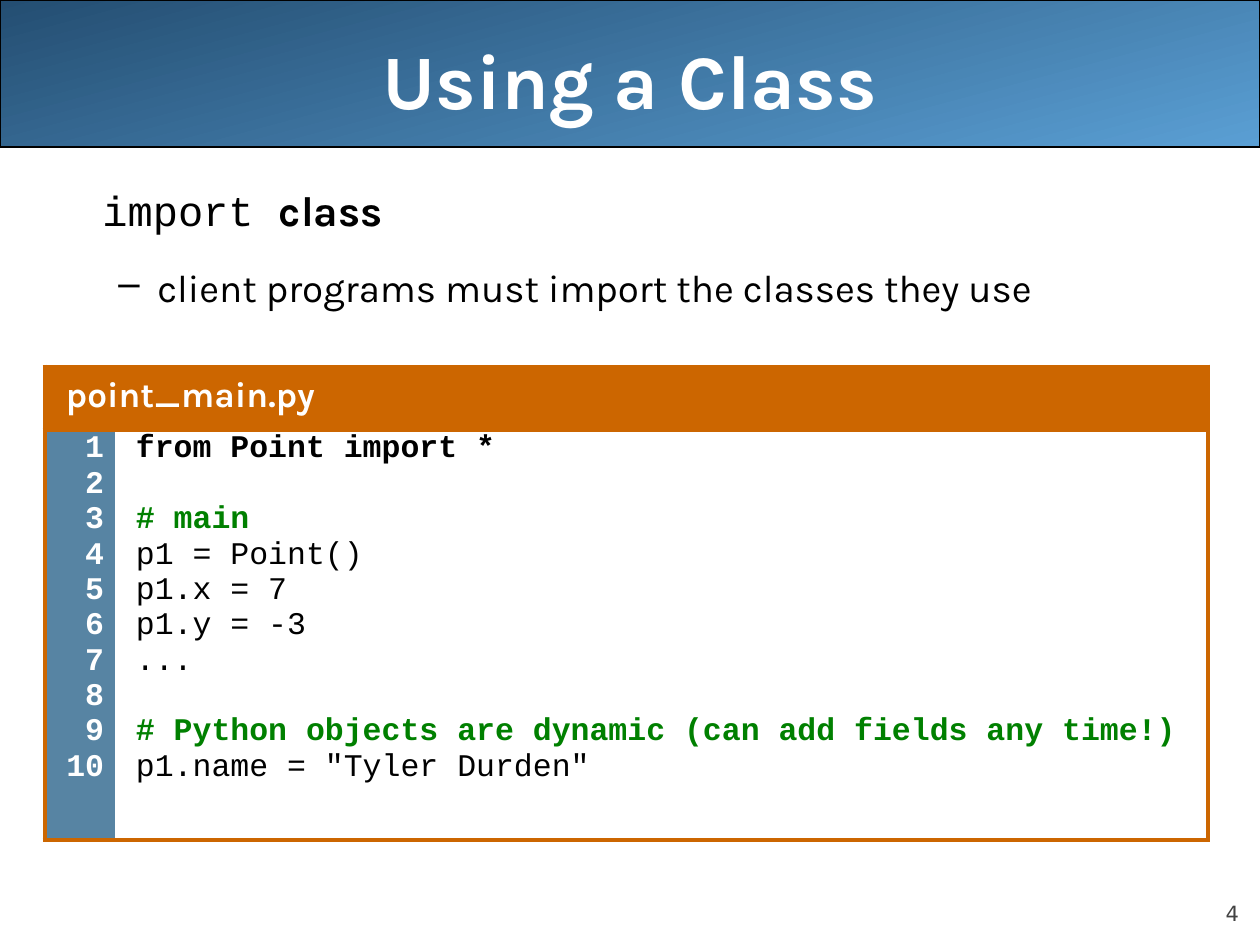
from lxml.etree import SubElement
from pptx import Presentation
from pptx.dml.color import RGBColor
from pptx.enum.shapes import MSO_SHAPE
from pptx.enum.text import MSO_ANCHOR, PP_ALIGN
from pptx.oxml.ns import qn
from pptx.util import Emu, Pt

WHITE = RGBColor(0xFF, 0xFF, 0xFF)
BLACK = RGBColor(0x00, 0x00, 0x00)
GRAY = RGBColor(0x42, 0x42, 0x42)
NAVY = RGBColor(0x24, 0x4E, 0x72)
SKY = RGBColor(0x5A, 0x9F, 0xD4)
STEEL = RGBColor(0x57, 0x84, 0xA3)
ORANGE = RGBColor(0xCC, 0x66, 0x00)
GREEN = RGBColor(0x00, 0x80, 0x00)
HEADING_FONT, CODE_FONT = "Karla", "Courier New"


def px(count):
    return Emu(round(count * 914400 / 126))


def style(para, font, size, color, bold=False, align=PP_ALIGN.LEFT,
          before=0, spacing=None, left=0, hanging=0):
    para.alignment = align
    para.space_before = Pt(before)
    if spacing:
        para.line_spacing = spacing
    properties = para._p.get_or_add_pPr()
    properties.set("marL", str(px(left)))
    properties.set("indent", str(-px(hanging)))
    para.font.name, para.font.size = font, Pt(size)
    para.font.bold, para.font.color.rgb = bold, color


deck = Presentation()
deck.slide_width, deck.slide_height = px(1260), px(945)
page = deck.slides.add_slide(deck.slide_layouts[6])

# Title band
band = page.shapes.add_shape(MSO_SHAPE.ROUNDED_RECTANGLE, 0, 0, px(1260), px(147))
band.adjustments[0] = 0
band.shadow.inherit = False
band.fill.gradient()
band.fill.gradient_angle = 285
for stop, color, position in zip(band.fill.gradient_stops, (NAVY, SKY), (0, 1)):
    stop.color.rgb, stop.position = color, position
band.line.color.rgb, band.line.width = BLACK, Pt(0.75)

# Slide number
number_box = page.shapes.add_textbox(px(1134), px(876), px(105), px(50))
frame = number_box.text_frame
frame.word_wrap, frame.vertical_anchor = True, MSO_ANCHOR.BOTTOM
frame.margin_left = frame.margin_right = frame.margin_top = frame.margin_bottom = 0
frame.text = "4"
style(frame.paragraphs[0], "DejaVu Sans", 12, GRAY, align=PP_ALIGN.RIGHT, before=5)

# Title
title_box = page.shapes.add_textbox(px(63), 0, px(1134), px(158))
frame = title_box.text_frame
frame.word_wrap, frame.vertical_anchor = True, MSO_ANCHOR.MIDDLE
frame.text = "Using a Class"
style(frame.paragraphs[0], HEADING_FONT, 44, WHITE, bold=True, align=PP_ALIGN.CENTER)

# Body text
body_box = page.shapes.add_textbox(px(42), px(178), px(1197), px(683))
frame = body_box.text_frame
frame.word_wrap = True
topic = frame.paragraphs[0]
style(topic, HEADING_FONT, 24, BLACK, before=6, left=48)
for text, font, bold in (("import ", CODE_FONT, False), ("class", HEADING_FONT, True)):
    span = topic.add_run()
    span.text, span.font.name, span.font.bold = text, font, bold

detail = frame.add_paragraph()
detail.text = "client programs must import the classes they use"
detail.level = 1
style(detail, HEADING_FONT, 22, BLACK, before=17, left=103, hanging=39)
bullet = SubElement(detail._p.pPr, qn("a:buChar"), char="–")
detail._p.pPr.find(qn("a:defRPr")).addprevious(bullet)

# Code listing table
table = page.shapes.add_table(2, 2, px(45), px(367), px(1163), px(473)).table
table.first_row = table.horz_banding = False
for column, width in zip(table.columns, (70, 1093)):
    column.width = px(width)
for row, height in zip(table.rows, (63, 410)):
    row.height = px(height)
header, numbers, code = table.cell(0, 0), table.cell(1, 0), table.cell(1, 1)
header.merge(table.cell(0, 1))

# Cell borders, margins and fills
for cell, edges, right_margin, color in (
        (header, "LRTB", 6, ORANGE), (table.cell(0, 1), "LRTB", 6, ORANGE),
        (numbers, "LTB", 11, STEEL), (code, "RTB", 23, WHITE)):
    cell.margin_left = cell.margin_top = cell.margin_bottom = px(6)
    cell.margin_right = px(right_margin)
    for edge in "LRTB":
        border = SubElement(cell._tc.get_or_add_tcPr(), qn(f"a:ln{edge}"), w=str(Pt(3)))
        if edge in edges:
            solid = SubElement(border, qn("a:solidFill"))
            SubElement(solid, qn("a:srgbClr"), val=str(ORANGE))
        else:
            SubElement(border, qn("a:noFill"))
    cell.fill.solid()
    cell.fill.fore_color.rgb = color

header.text = "point_main.py"
style(header.text_frame.paragraphs[0], HEADING_FONT, 20, WHITE, bold=True,
      before=5, spacing=1.07, left=15)

# Line numbers, with a small indent so that two digits fit
numbers.text = "\n".join(str(line) for line in range(1, 11))
for para in numbers.text_frame.paragraphs:
    style(para, CODE_FONT, 18, WHITE, bold=True, align=PP_ALIGN.RIGHT,
          before=4.5, spacing=0.77, left=8)

# Code lines by line number; skipped numbers become space above the next line
LINE_PITCH = 20.2
code_lines = {
    1: ("from Point import *", BLACK, True),
    3: ("# main", GREEN, True),
    4: ("p1 = Point()", BLACK, False),
    5: ("p1.x = 7", BLACK, False),
    6: ("p1.y = -3", BLACK, False),
    7: ("...", BLACK, False),
    9: ("# Python objects are dynamic (can add fields any time!)", GREEN, True),
    10: ('p1.name = "Tyler Durden"', BLACK, False),
}
code.text = "\n".join(text for text, color, bold in code_lines.values())
previous = 0
for para, (line, (text, color, bold)) in zip(code.text_frame.paragraphs, code_lines.items()):
    style(para, CODE_FONT, 18, color, bold=bold, spacing=0.77, left=15,
          before=4.5 + LINE_PITCH * (line - previous - 1))
    previous = line

deck.save("out.pptx")
